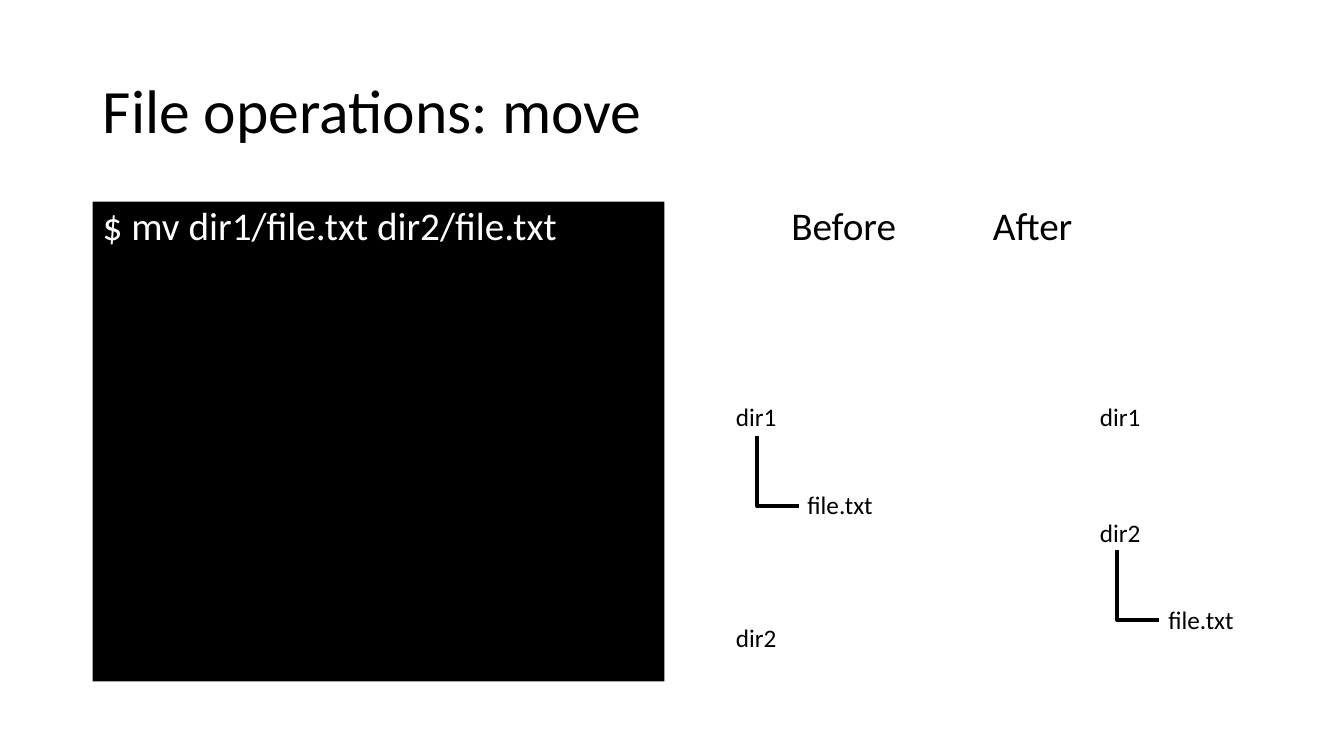
from lxml import etree
from pptx import Presentation
from pptx.dml.color import RGBColor
from pptx.enum import shapes, text
from pptx.oxml.ns import qn
from pptx.util import Inches, Pt

COLORS = {"ink": "000000", "paper": "FFFFFF"}

deck = Presentation()
deck.slide_width, deck.slide_height = Inches(13.33), Inches(7.5)
page = deck.slides.add_slide(deck.slide_layouts[5])
page.background.fill.solid()
page.background.fill.fore_color.rgb = RGBColor.from_string(COLORS["paper"])


def write(shape, words, size, color="ink", spacing=0.9, tabs=(), **frame_format):
    """Fill a shape with one left-aligned paragraph."""
    frame = shape.text_frame
    for name, value in frame_format.items():
        setattr(frame, name, value)
    para = frame.paragraphs[0]
    para.text = words
    para.alignment = text.PP_ALIGN.LEFT
    para.line_spacing = spacing
    if tabs:
        stops = etree.SubElement(para._p.get_or_add_pPr(), qn("a:tabLst"))
        for stop in tabs:
            etree.SubElement(stops, qn("a:tab"), pos=str(Inches(stop)), algn="l")
    span = para.runs[0]
    for name, value in {"name": "Calibri", "size": Pt(size)}.items():
        setattr(span.font, name, value)
    span.font.color.rgb = RGBColor.from_string(COLORS[color])


# Title
title = page.shapes.title
title.left, title.top, title.width, title.height = map(Inches, (0.92, 0.4, 11.5, 1.45))
write(title, "File operations: move", 44, word_wrap=True,
      auto_size=text.MSO_AUTO_SIZE.NONE, vertical_anchor=text.MSO_ANCHOR.MIDDLE)

# Terminal
terminal = page.shapes.add_shape(shapes.MSO_SHAPE.RECTANGLE, Inches(0.92), Inches(2),
                                 Inches(5.67), Inches(4.76))
terminal.shadow.inherit = False
terminal.fill.solid()
terminal.fill.fore_color.rgb = RGBColor.from_string(COLORS["ink"])
terminal.line.fill.background()
write(terminal, "$ mv dir1/file.txt dir2/file.txt", 28, "paper",
      word_wrap=True, vertical_anchor=text.MSO_ANCHOR.TOP)

# Column headings
headings = page.shapes.add_textbox(Inches(6.75), Inches(2), Inches(5.67), Inches(4.76))
write(headings, "\tBefore\tAfter", 28, tabs=(1, 3), word_wrap=True)

# Directory and file names, before and after the move
labels = [
    ("dir1", 7.2, 3.93, 0.61), ("file.txt", 7.91, 4.81, 0.86), ("dir2", 7.2, 6.12, 0.61),
    ("dir1", 10.81, 3.93, 0.61), ("dir2", 10.81, 5.08, 0.61), ("file.txt", 11.49, 5.95, 0.86),
]
for words, left, top, width in labels:
    label = page.shapes.add_textbox(Inches(left), Inches(top), Inches(width), Inches(0.4))
    write(label, words, 18, spacing=1.0, word_wrap=False,
          auto_size=text.MSO_AUTO_SIZE.SHAPE_TO_FIT_TEXT)

# Branches: down from the directory, then right to the file
DROP, REACH = 0.69, 0.41
for start_x, start_y in [(7.51, 4.33), (11.08, 5.46)]:
    # A one-bend elbow is laid out flat around its centre, then turned by 270 degrees
    left = start_x + (REACH - DROP) / 2
    top = start_y + (DROP - REACH) / 2
    branch = page.shapes.add_connector(
        shapes.MSO_CONNECTOR.ELBOW, Inches(left + DROP), Inches(top),
        Inches(left), Inches(top + REACH))
    branch.line.color.rgb = RGBColor.from_string(COLORS["ink"])
    branch.line.width = Pt(3)
    properties = branch._element.spPr
    properties.find(qn("a:xfrm")).set("rot", str(270 * 60000))
    properties.find(qn("a:prstGeom")).set("prst", "bentConnector2")
    etree.SubElement(properties, qn("a:effectLst"))

deck.save("out.pptx")
